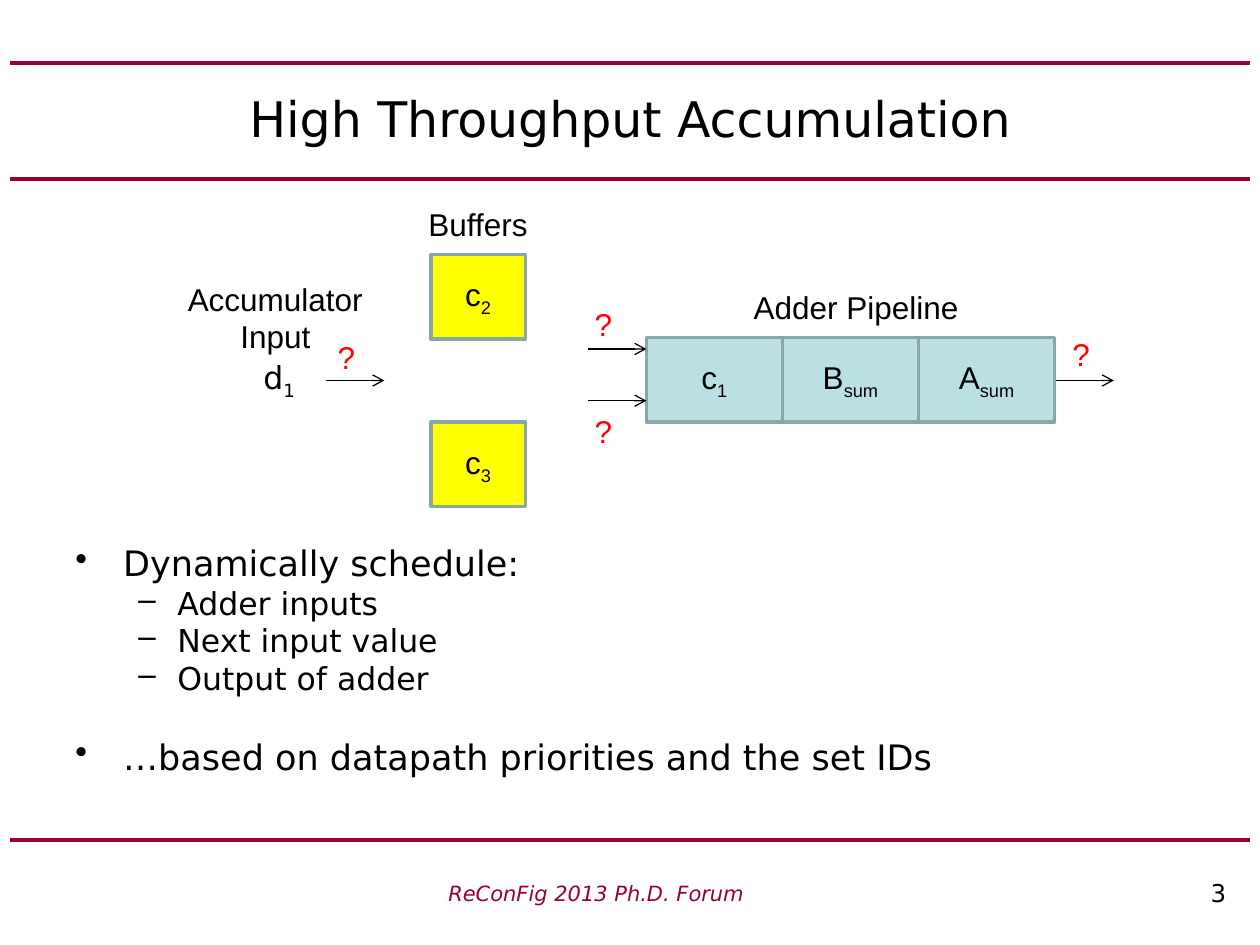
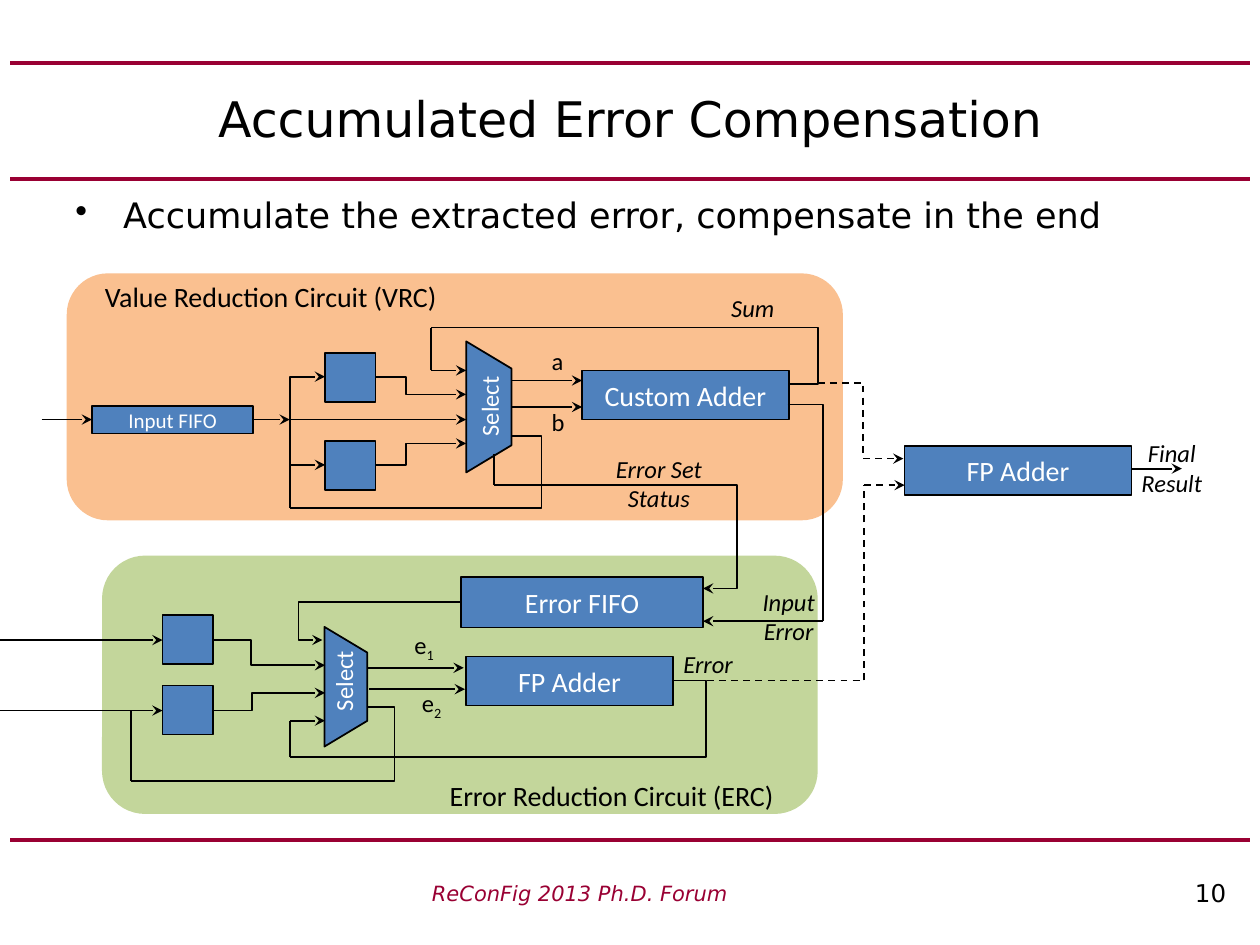
from dataclasses import dataclass
from typing import Optional

from lxml import etree
from pptx import Presentation
from pptx.dml.color import RGBColor
from pptx.enum.dml import MSO_LINE
from pptx.enum.shapes import MSO_CONNECTOR, MSO_SHAPE
from pptx.enum.text import MSO_ANCHOR, PP_ALIGN
from pptx.oxml.ns import qn
from pptx.util import Inches, Pt

RECT, ROUNDED, TRAPEZOID = MSO_SHAPE.RECTANGLE, MSO_SHAPE.ROUNDED_RECTANGLE, MSO_SHAPE.TRAPEZOID
STRAIGHT, ELBOW = MSO_CONNECTOR.STRAIGHT, MSO_CONNECTOR.ELBOW
LEFT, CENTER, RIGHT = PP_ALIGN.LEFT, PP_ALIGN.CENTER, PP_ALIGN.RIGHT
TOP, MIDDLE = MSO_ANCHOR.TOP, MSO_ANCHOR.MIDDLE
DASH = MSO_LINE.DASH

COLORS = {
    "black": "000000", "white": "FFFFFF", "band": "990033", "question": "FF0000",
    "pipeline": "BBE0E3", "buffer": "FFFF00", "stage_edge": "8AA6A8",
    "block": "4F81BD", "vrc": "FAC090", "erc": "C3D69B",
}
HEADING_FONT, SIMPLE_FONT, CIRCUIT_FONT = "DejaVu Sans", "Arial", "Calibri"
BAND_TOPS = (0.5, 1.42, 6.67)


@dataclass(frozen=True)
class Style:
    """Look of a piece of text."""
    font: str
    size: float
    color: str = "black"
    italic: bool = False
    align: PP_ALIGN = CENTER
    anchor: MSO_ANCHOR = TOP


@dataclass(frozen=True)
class Label:
    """Free text; an underscore in it starts a subscript."""
    text: str
    box: tuple[float, float, float, float]
    style: Style
    rotation: float = 0


@dataclass(frozen=True)
class Block:
    """Filled shape with optional outline and text."""
    box: tuple[float, float, float, float]
    fill: str = "block"
    edge: Optional[str] = "black"
    edge_width: float = 1
    text: str = ""
    style: Optional[Style] = None
    kind: MSO_SHAPE = RECT
    rotation: float = 0


@dataclass(frozen=True)
class Wire:
    """Line between two points, turning at x = bend when that is given."""
    start: tuple[float, float]
    end: tuple[float, float]
    bend: Optional[float] = None
    head: str = "stealth"
    dashed: bool = False
    color: str = "black"
    width: float = 1


@dataclass(frozen=True)
class Bullet:
    """One line of the body text."""
    text: str
    level: int = 0
    gap_before: float = 0


TITLE = Style(HEADING_FONT, 28, anchor=MIDDLE)
EVENT = Style(HEADING_FONT, 12, "band", italic=True, align=LEFT)
PAGE = Style(HEADING_FONT, 14, align=RIGHT)
INPUT_VALUE = Style(HEADING_FONT, 18, anchor=MIDDLE)
SIMPLE = Style(SIMPLE_FONT, 18)
STAGE = Style(SIMPLE_FONT, 18, anchor=MIDDLE)
QUESTION = Style(SIMPLE_FONT, 18, "question")
CIRCUIT_NAME = Style(CIRCUIT_FONT, 16)
SIGNAL = Style(CIRCUIT_FONT, 14, italic=True)
OPERAND = Style(CIRCUIT_FONT, 14, align=LEFT)
SELECT = Style(CIRCUIT_FONT, 14, "white")
UNIT = Style(CIRCUIT_FONT, 16, "white", anchor=MIDDLE)
SMALL_UNIT = Style(CIRCUIT_FONT, 12, "white", anchor=MIDDLE)


def rgb(name: str) -> RGBColor:
    """Look up a colour by its role."""
    return RGBColor.from_string(COLORS[name])


def set_font(paragraph, style: Style) -> None:
    """Give a whole paragraph its font and alignment."""
    paragraph.alignment = style.align
    paragraph.font.name = style.font
    paragraph.font.size = Pt(style.size)
    paragraph.font.italic = style.italic
    paragraph.font.color.rgb = rgb(style.color)


def write(frame, text: str, style: Style) -> None:
    """Fill a text frame with one paragraph, with its subscript if any."""
    frame.word_wrap = True
    frame.vertical_anchor = style.anchor
    paragraph = frame.paragraphs[0]
    set_font(paragraph, style)
    base, _, subscript = text.partition("_")
    paragraph.add_run().text = base
    if subscript:
        lowered = paragraph.add_run()
        lowered.text = subscript
        lowered.font._element.set("baseline", "-25000")


def draw_label(slide, label: Label) -> None:
    """Draw free text."""
    holder = slide.shapes.add_textbox(*map(Inches, label.box))
    holder.rotation = label.rotation
    write(holder.text_frame, label.text, label.style)


def draw_block(slide, block: Block) -> None:
    """Draw a filled shape."""
    shape = slide.shapes.add_shape(block.kind, *map(Inches, block.box))
    shape.shadow.inherit = False
    shape.rotation = block.rotation
    shape.fill.solid()
    shape.fill.fore_color.rgb = rgb(block.fill)
    if block.kind == TRAPEZOID:
        shape.adjustments[0] = 0.6
    if block.edge:
        shape.line.color.rgb = rgb(block.edge)
        shape.line.width = Pt(block.edge_width)
    else:
        shape.line.fill.background()
    if block.text:
        write(shape.text_frame, block.text, block.style)


def draw_wire(slide, wire: Wire) -> None:
    """Draw a straight or bent line with an optional arrowhead."""
    kind = STRAIGHT if wire.bend is None else ELBOW
    connector = slide.shapes.add_connector(kind, *map(Inches, wire.start + wire.end))
    connector.line.color.rgb = rgb(wire.color)
    connector.line.width = Pt(wire.width)
    if wire.dashed:
        connector.line.dash_style = DASH
    properties = connector._element.spPr
    if wire.bend is not None:
        share = (wire.bend - wire.start[0]) / (wire.end[0] - wire.start[0])
        guides = properties.find(qn("a:prstGeom")).get_or_add_avLst()
        etree.SubElement(guides, qn("a:gd"), name="adj1", fmla=f"val {round(share * 100000)}")
    if wire.head:
        etree.SubElement(properties.find(qn("a:ln")), qn("a:tailEnd"), type=wire.head)
    etree.SubElement(properties, qn("a:effectLst"))


def draw_bullets(slide, box: tuple[float, float, float, float], bullets: list[Bullet]) -> None:
    """Draw the body text with hanging bullets."""
    frame = slide.shapes.add_textbox(*map(Inches, box)).text_frame
    frame.word_wrap = True
    for index, bullet in enumerate(bullets):
        paragraph = frame.add_paragraph() if index else frame.paragraphs[0]
        paragraph.text = bullet.text
        paragraph.level = bullet.level
        paragraph.space_before = Pt(bullet.gap_before)
        size, margin, hang, mark = ((20, 0.38, 0.38, "•"), (18, 0.81, 0.31, "–"))[bullet.level]
        set_font(paragraph, Style(HEADING_FONT, size, align=LEFT))
        properties = paragraph._p.get_or_add_pPr()
        properties.set("marL", str(Inches(margin)))
        properties.set("indent", str(-Inches(hang)))
        sign = etree.Element(qn("a:buChar"), char=mark)
        properties.find(qn("a:defRPr")).addprevious(sign)


def start_slide(deck, title: str, page: int, event_left: float):
    """Add a slide with its bands, title and footer."""
    slide = deck.slides.add_slide(deck.slide_layouts[6])
    for top in BAND_TOPS:
        draw_wire(slide, Wire((0.08, top), (9.92, top), head="", color="band", width=2.25))
    draw_label(slide, Label(title, (0.5, 0.5, 9, 0.87), TITLE))
    draw_label(slide, Label("ReConFig 2013 Ph.D. Forum", (event_left, 6.94, 3, 0.33), EVENT))
    draw_label(slide, Label(str(page), (8.83, 6.92, 1, 0.33), PAGE))
    return slide


def draw_all(slide, blocks: list[Block], wires: list[Wire], labels: list[Label]) -> None:
    """Draw a diagram from back to front."""
    for block in blocks:
        draw_block(slide, block)
    for wire in wires:
        draw_wire(slide, wire)
    for label in labels:
        draw_label(slide, label)


def build_accumulation(deck) -> None:
    """Build the slide on the accumulator and its adder pipeline."""
    slide = start_slide(deck, "High Throughput Accumulation", 3, 3.46)
    stages = [Block((5.13 + 1.08 * i, 2.68, 1.08, 0.67), "pipeline", "stage_edge", 2, text, STAGE)
              for i, text in enumerate(("c_1", "B_sum", "A_sum"))]
    buffers = [Block((3.42, top, 0.75, 0.67), "buffer", "stage_edge", 2, text, STAGE)
               for top, text in ((2.02, "c_2"), (3.35, "c_3"))]
    arrows = [Wire((x, y), (x + 0.46, y), head="arrow", width=0.75)
              for x, y in ((4.67, 2.77), (4.67, 3.18), (8.38, 3.02), (2.59, 3.02))]
    names = [
        Label("d_1", (1.84, 2.68, 0.75, 0.67), INPUT_VALUE),
        Label("Accumulator Input", (1.33, 2.17, 1.71, 0.71), SIMPLE),
        Label("Buffers", (3.21, 1.58, 1.17, 0.4), SIMPLE),
        Label("Adder Pipeline", (5.88, 2.24, 1.83, 0.4), SIMPLE),
    ]
    questions = [Label("?", (x, y, 0.66, 0.4), QUESTION)
                 for x, y in ((4.46, 2.37), (4.46, 3.22), (8.25, 2.61), (2.42, 2.63))]
    draw_all(slide, stages + buffers, arrows, names + questions)
    draw_bullets(slide, (0.5, 4.25, 9, 2.33), [
        Bullet("Dynamically schedule:"),
        Bullet("Adder inputs", 1),
        Bullet("Next input value", 1),
        Bullet("Output of adder", 1),
        Bullet("…based on datapath priorities and the set IDs", gap_before=22),
    ])


def build_compensation(deck) -> None:
    """Build the slide on the value and error reduction circuits."""
    slide = start_slide(deck, "Accumulated Error Compensation", 10, 3.33)
    draw_bullets(slide, (0.5, 1.49, 9, 0.5),
                 [Bullet("Accumulate the extracted error, compensate in the end")])
    panels = [Block((0.53, 2.17, 6.16, 1.96), "vrc", None, kind=ROUNDED),
              Block((0.81, 4.41, 5.68, 2.05), "erc", None, kind=ROUNDED)]
    registers = [Block((x, y, 0.4, 0.39))
                 for x, y in ((2.58, 2.8), (2.58, 3.5), (1.29, 4.88), (1.29, 5.44))]
    selectors = [Block(box, kind=TRAPEZOID, rotation=90)
                 for box in ((3.36, 3.05, 1.04, 0.36), (2.27, 5.28, 0.95, 0.34))]
    units = [
        Block((0.73, 3.22, 1.28, 0.22), text="Input FIFO", style=SMALL_UNIT),
        Block((4.62, 2.94, 1.64, 0.39), text="Custom Adder", style=UNIT),
        Block((7.18, 3.54, 1.8, 0.39), text="FP Adder", style=UNIT),
        Block((3.66, 4.58, 1.92, 0.4), text="Error FIFO", style=UNIT),
        Block((3.7, 5.21, 1.64, 0.39), text="FP Adder", style=UNIT),
    ]
    value_wires = [
        Wire((0.33, 3.33), (0.73, 3.33)),
        Wire((2.02, 3.33), (2.3, 3.33)),
        Wire((2.3, 3.33), (3.7, 3.33)),
        Wire((2.3, 3.33), (2.58, 2.99), 2.3),
        Wire((2.3, 3.33), (2.58, 3.69), 2.3),
        Wire((2.98, 2.99), (3.7, 3.13), 3.22),
        Wire((2.98, 3.69), (3.7, 3.52), 3.22),
        Wire((4.06, 3.02), (4.62, 3.02)),
        Wire((4.06, 3.23), (4.62, 3.23)),
        Wire((4.06, 3.46), (2.3, 4.03), 4.3, head=""),
        Wire((2.3, 4.03), (2.3, 3.69), head=""),
        Wire((6.26, 3.05), (3.42, 2.6), 6.49, head=""),
        Wire((3.42, 2.6), (3.42, 2.94), head=""),
        Wire((3.42, 2.94), (3.7, 2.94)),
    ]
    error_wires = [
        Wire((3.92, 3.6), (3.92, 3.85), head=""),
        Wire((3.92, 3.85), (5.58, 4.67), 5.85),
        Wire((6.25, 3.21), (6.53, 4.93), 6.53, head=""),
        Wire((6.53, 4.93), (5.58, 4.93)),
        Wire((3.66, 4.78), (2.56, 5.08), 2.37),
        Wire((0, 5.08), (1.29, 5.08)),
        Wire((0, 5.64), (1.29, 5.64)),
        Wire((1.7, 5.08), (2.58, 5.28), 1.99),
        Wire((1.7, 5.64), (2.58, 5.5), 2),
        Wire((2.92, 5.3), (3.68, 5.3)),
        Wire((2.93, 5.47), (3.69, 5.47)),
        Wire((2.91, 5.61), (1.04, 6.2), 3.13, head=""),
        Wire((1.04, 6.2), (1.04, 5.64), head=""),
        Wire((5.34, 5.4), (2.3, 6.01), 5.6, head=""),
        Wire((2.3, 6.01), (2.3, 5.72), head=""),
        Wire((2.3, 5.72), (2.58, 5.72)),
    ]
    result_wires = [
        Wire((6.49, 3.04), (6.85, 3.04), head="", dashed=True),
        Wire((6.85, 3.06), (6.85, 3.63), head="", dashed=True),
        Wire((6.85, 3.64), (7.17, 3.64), dashed=True),
        Wire((5.61, 5.4), (6.86, 5.4), head="", dashed=True),
        Wire((6.86, 5.4), (6.86, 3.85), head="", dashed=True),
        Wire((6.86, 3.85), (7.18, 3.85), dashed=True),
        Wire((8.98, 3.72), (9.38, 3.72)),
    ]
    labels = [
        Label("Value Reduction Circuit (VRC)", (0.42, 2.17, 3.46, 0.37), CIRCUIT_NAME),
        Label("Error Reduction Circuit (ERC)", (3.22, 6.13, 3.27, 0.37), CIRCUIT_NAME),
        Label("Select", (3.51, 3.05, 0.76, 0.35), SELECT, 270),
        Label("Select", (2.33, 5.23, 0.81, 0.35), SELECT, 270),
        Label("a", (4.28, 2.7, 0.32, 0.36), OPERAND),
        Label("b", (4.28, 3.18, 0.32, 0.36), OPERAND),
        Label("e_1", (3.19, 4.95, 0.45, 0.36), OPERAND),
        Label("e_2", (3.25, 5.41, 0.4, 0.36), OPERAND),
        Label("Sum", (5.54, 2.28, 0.87, 0.36), SIGNAL),
        Label("Error Set Status", (4.75, 3.55, 0.96, 0.61), SIGNAL),
        Label("Input Error", (5.86, 4.61, 0.8, 0.61), SIGNAL),
        Label("Error", (5.27, 5.1, 0.7, 0.36), SIGNAL),
        Label("Final Result", (8.94, 3.43, 0.72, 0.61), SIGNAL),
    ]
    draw_all(slide, panels + registers + selectors + units,
             value_wires + error_wires + result_wires, labels)


presentation = Presentation()
presentation.slide_width, presentation.slide_height = Inches(10), Inches(7.5)
build_accumulation(presentation)
build_compensation(presentation)
presentation.save("out.pptx")
